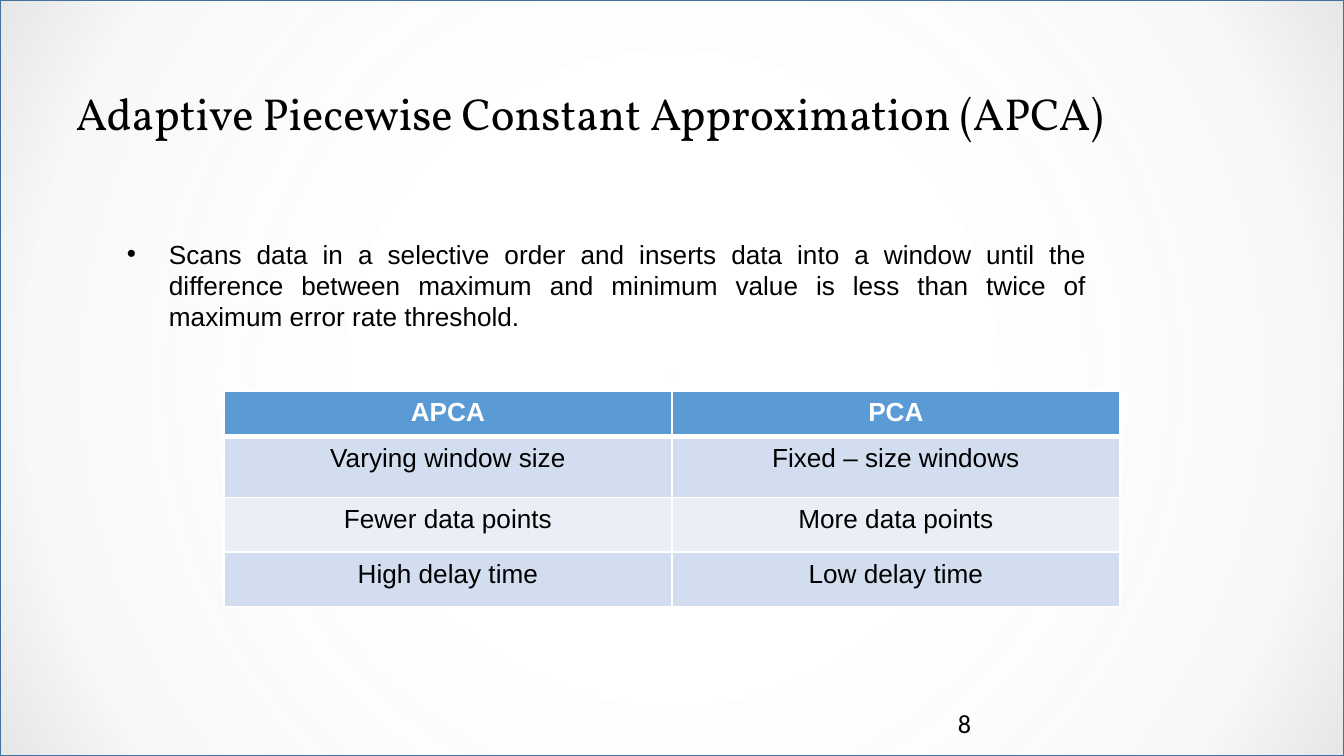
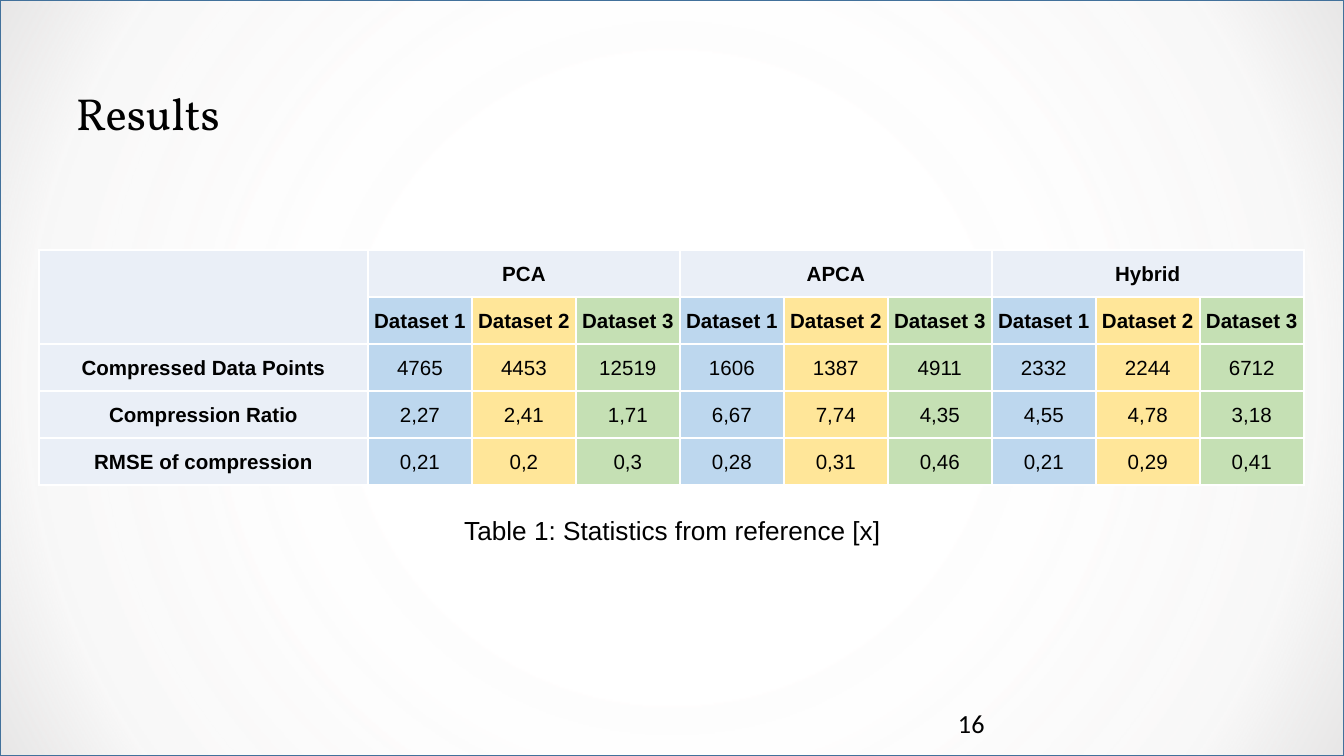
from pptx import Presentation
from pptx.dml.color import RGBColor
from pptx.enum.shapes import MSO_SHAPE as Preset
from pptx.enum.text import MSO_ANCHOR as Anchor, MSO_AUTO_SIZE as AutoSize, PP_ALIGN as Align
from pptx.oxml import parse_xml
from pptx.oxml.ns import nsdecls, qn
from pptx.util import Emu, Pt

PX = 914400 / 134.4
WIDTH, HEIGHT = 1344, 756

COLORS = {
    "text": "000000", "white": "FFFFFF", "frame": "42719B",
    "glow": "F6F9FC", "edge": "E7E6E6",
    "header": "5B9BD5", "band": "D2DEEF", "pale": "EAEFF7",
    "blue": "BDD7EE", "yellow": "FFE699", "green": "C5E0B4",
}
# Position %, colour, opacity %
GRADIENT = [(0, "glow", 0), (38, "white", 15), (84, "edge", 29), (100, "edge", 100)]

STYLES = {
    "title": {"name": "Vollkorn", "size": Pt(24)},
    "number": {"name": "Calibri", "size": Pt(14)},
    "body": {"name": "Arial", "size": Pt(14)},
    "body_bold": {"name": "Arial", "size": Pt(14), "bold": True},
    "data": {"name": "Arial", "size": Pt(11), "bold": False},
    "data_bold": {"name": "Arial", "size": Pt(11), "bold": True},
}
SIDES = ("left", "top", "right", "bottom")
TIGHT_INSETS = (9, 5, 9, 5)
WIDE_INSETS = (13, 7, 13, 7)
DATA_INSETS = (1, 1, 1, 0)

TITLE_BOX = (67, 54, 1277, 91)
NUMBER_BOX = (949, 702, 302, 40)

COMPARISON = [
    ("APCA", "PCA"),
    ("Varying window size", "Fixed – size windows"),
    ("Fewer data points", "More data points"),
    ("High delay time", "Low delay time"),
]
METHODS = ("PCA", "APCA", "Hybrid")
DATASETS = {"Dataset 1": "blue", "Dataset 2": "yellow", "Dataset 3": "green"}
RESULTS = {
    "Compressed Data Points": "4765 4453 12519 1606 1387 4911 2332 2244 6712",
    "Compression Ratio": "2,27 2,41 1,71 6,67 7,74 4,35 4,55 4,78 3,18",
    "RMSE of compression": "0,21 0,2 0,3 0,28 0,31 0,46 0,21 0,29 0,41",
}


def px(value):
    return Emu(round(value * PX))


def rgb(name):
    return RGBColor.from_string(COLORS[name])


def set_insets(target, insets):
    for side, value in zip(SIDES, insets):
        setattr(target, f"margin_{side}", px(value))


def write(paragraph, text, style, color="text", align=Align.LEFT):
    paragraph.alignment = align
    run = paragraph.add_run()
    run.text = text
    for key, value in STYLES[style].items():
        setattr(run.font, key, value)
    run.font.color.rgb = rgb(color)


def add_text(slide, box, text, style, align=Align.LEFT, insets=WIDE_INSETS, grow=True):
    frame = slide.shapes.add_textbox(*map(px, box)).text_frame
    frame.word_wrap = True
    frame.auto_size = AutoSize.SHAPE_TO_FIT_TEXT if grow else AutoSize.NONE
    set_insets(frame, insets)
    paragraph = frame.paragraphs[0]
    write(paragraph, text, style, align=align)
    return paragraph


def add_bullet(paragraph, indent):
    properties = paragraph._p.get_or_add_pPr()
    properties.set("marL", str(px(indent)))
    properties.set("indent", str(-px(indent)))
    for tag in (f'<a:buClr {nsdecls("a")}><a:srgbClr val="{COLORS["text"]}"/></a:buClr>',
                f'<a:buFont {nsdecls("a")} typeface="Arial"/>',
                f'<a:buChar {nsdecls("a")} char="•"/>'):
        properties.append(parse_xml(tag))


def add_backdrop(slide, box):
    shape = slide.shapes.add_shape(Preset.RECTANGLE, *map(px, box))
    shape.shadow.inherit = False
    shape.line.color.rgb = rgb("frame")
    shape.line.width = Pt(1)
    # Radial gradient with transparent stops
    shape.fill.background()
    stops = "".join(
        f'<a:gs pos="{position * 1000}"><a:srgbClr val="{COLORS[color]}">'
        f'<a:alpha val="{opacity * 1000}"/></a:srgbClr></a:gs>'
        for position, color, opacity in GRADIENT)
    gradient = parse_xml(
        f'<a:gradFill {nsdecls("a")} rotWithShape="1"><a:gsLst>{stops}</a:gsLst>'
        '<a:path path="circle"><a:fillToRect l="50000" t="50000" r="50000" b="50000"/>'
        '</a:path></a:gradFill>')
    properties = shape._element.spPr
    properties.replace(properties.find(qn("a:noFill")), gradient)


def add_table(slide, box, columns, rows):
    table = slide.shapes.add_table(len(rows), len(columns), *map(px, box)).table
    for column, width in zip(table.columns, columns):
        column.width = px(width)
    for row, height in zip(table.rows, rows):
        row.height = px(height)
    return table


def format_cell(cell, fill, insets, top=1, bottom=1):
    set_insets(cell, insets)
    cell.fill.solid()
    cell.fill.fore_color.rgb = rgb(fill)
    properties = cell._tc.get_or_add_tcPr()
    for index, (side, width) in enumerate(zip("LRTB", (1, 1, top, bottom))):
        properties.insert(index, parse_xml(
            f'<a:ln{side} {nsdecls("a")} w="{Pt(width)}"><a:solidFill>'
            f'<a:srgbClr val="{COLORS["white"]}"/></a:solidFill></a:ln{side}>'))


def add_comparison(slide, box):
    width = box[2]
    table = add_table(slide, box, [width // 2] * 2, (41, 61, 55, 55))
    for row, labels in enumerate(COMPARISON):
        header = row == 0
        fill = "header" if header else ("pale", "band")[row % 2]
        for column, label in enumerate(labels):
            cell = table.cell(row, column)
            format_cell(cell, fill, WIDE_INSETS, top=3 if row == 1 else 1,
                        bottom=3 if header else 1)
            write(cell.text_frame.paragraphs[0], label,
                  "body_bold" if header else "body",
                  "white" if header else "text", Align.CENTER)


def add_results(slide, box):
    width, height = box[2:]
    group = len(DATASETS)
    count = group * len(METHODS)
    value_width = 104
    method_row = [""] + [label for method in METHODS
                         for label in [method] + [""] * (group - 1)]
    grid = [method_row, [""] + list(DATASETS) * len(METHODS)]
    grid += [[name] + values.split() for name, values in RESULTS.items()]
    fills = ["pale"] + list(DATASETS.values()) * len(METHODS)
    table = add_table(slide, box, [width - count * value_width] + [value_width] * count,
                      [height // len(grid)] * len(grid))
    for row, labels in enumerate(grid):
        for column, label in enumerate(labels):
            cell = table.cell(row, column)
            format_cell(cell, fills[column] if row else "pale", DATA_INSETS)
            cell.vertical_anchor = Anchor.MIDDLE
            if label:
                bold = row < 2 or column == 0
                write(cell.text_frame.paragraphs[0], label,
                      "data_bold" if bold else "data", align=Align.CENTER)
    # Header spans
    table.cell(0, 0).merge(table.cell(1, 0))
    for first in range(1, count, group):
        table.cell(0, first).merge(table.cell(0, first + group - 1))


def add_base(presentation, title, number):
    slide = presentation.slides.add_slide(presentation.slide_layouts[6])
    add_backdrop(slide, (0, 0, WIDTH, HEIGHT))
    heading = add_text(slide, TITLE_BOX, title, "title", insets=TIGHT_INSETS)
    heading.line_spacing = 1.5
    add_text(slide, NUMBER_BOX, number, "number", insets=TIGHT_INSETS, grow=False)
    return slide


def build_apca(presentation):
    slide = add_base(presentation, "Adaptive Piecewise Constant Approximation (APCA)", "8")
    paragraph = add_text(
        slide, (114, 231, 986, 109),
        "Scans data in a selective order and inserts data into a window until the "
        "difference between maximum and minimum value is less than twice of "
        "maximum error rate threshold.", "body", Align.JUSTIFY)
    add_bullet(paragraph, 42)
    add_comparison(slide, (224, 391, 896, 215))


def build_results(presentation):
    slide = add_base(presentation, "Results", "16")
    add_results(slide, (39, 250, 1265, 235))
    add_text(slide, (336, 507, 673, 46), "Table 1: Statistics from reference [x]",
             "body", Align.CENTER)


def main():
    presentation = Presentation()
    presentation.slide_width, presentation.slide_height = px(WIDTH), px(HEIGHT)
    build_apca(presentation)
    build_results(presentation)
    presentation.save("out.pptx")


if __name__ == "__main__":
    main()
